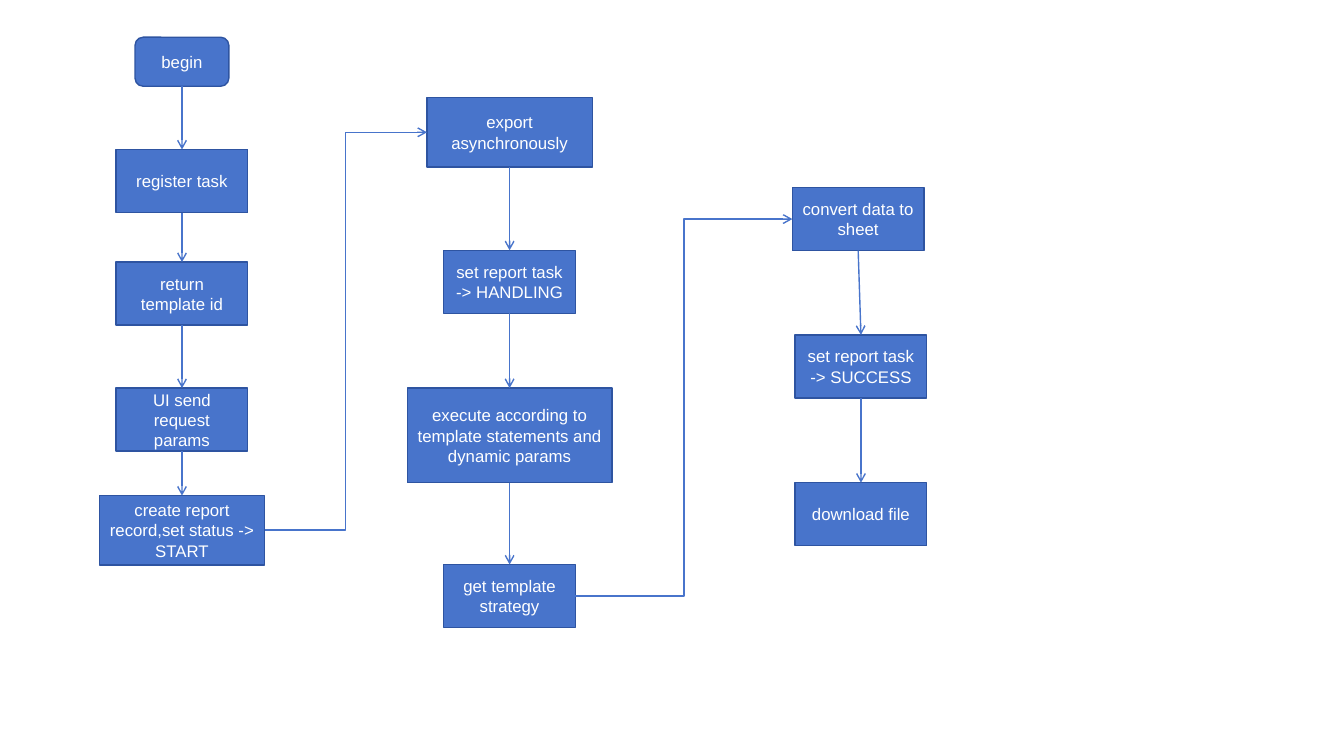
from dataclasses import dataclass
from itertools import pairwise

from lxml import etree
from pptx import Presentation
from pptx.dml import color
from pptx.enum import shapes, text
from pptx.oxml import ns
from pptx.shapes import autoshape, connector as connectors
from pptx.slide import Slide
from pptx.util import Pt


@dataclass(frozen=True)
class Theme:
    fill: color.RGBColor = color.RGBColor.from_string("4874CB")
    outline: color.RGBColor = color.RGBColor.from_string("2E54A1")
    ink: color.RGBColor = color.RGBColor.from_string("FFFFFF")
    font: str = "Arial"
    text_size: float = 12
    line_width: float = 1


@dataclass(frozen=True)
class Step:
    label: str
    column: int
    center: float
    top: float
    width: float = 94
    height: float = 45
    kind: shapes.MSO_SHAPE = shapes.MSO_SHAPE.FLOWCHART_PROCESS


THEME = Theme()
TOP, LEFT, BOTTOM, RIGHT = range(4)
FIRST, SECOND, THIRD = 130, 364, 615

STEPS = [
    Step("begin", 1, FIRST, 26.6, 67, 35, shapes.MSO_SHAPE.FLOWCHART_ALTERNATE_PROCESS),
    Step("register task", 1, FIRST, 106.8),
    Step("return template id", 1, FIRST, 187.2),
    Step("UI send request params", 1, FIRST, 277.2),
    Step("create report record,set status -> START", 1, FIRST, 354, 118, 49.5),
    Step("export asynchronously", 2, SECOND, 69.8, 118, 49.5),
    Step("set report task -> HANDLING", 2, SECOND, 178.8),
    Step("execute according to template statements and dynamic params", 2, SECOND, 277.2, 146, 67.6),
    Step("get template strategy", 2, SECOND, 403.2),
    Step("convert data to sheet", 3, THIRD - 2, 134),
    Step("set report task -> SUCCESS", 3, THIRD, 239.2),
    Step("download file", 3, THIRD, 344.8),
]


def set_values(target: object, values: dict[str, object]) -> None:
    for name, value in values.items():
        setattr(target, name, value)


def draw_step(slide: Slide, step: Step) -> autoshape.Shape:
    left = step.center - step.width / 2
    shape = slide.shapes.add_shape(
        step.kind, Pt(left), Pt(step.top), Pt(step.width), Pt(step.height)
    )
    shape.shadow.inherit = False
    shape.fill.solid()
    shape.fill.fore_color.rgb = THEME.fill
    shape.line.color.rgb = THEME.outline
    shape.line.width = Pt(THEME.line_width)
    frame = shape.text_frame
    set_values(frame, {"word_wrap": True, "vertical_anchor": text.MSO_ANCHOR.MIDDLE})
    paragraph = frame.paragraphs[0]
    paragraph.alignment = text.PP_ALIGN.CENTER
    run = paragraph.add_run()
    run.text = step.label
    set_values(run.font, {"name": THEME.font, "size": Pt(THEME.text_size)})
    run.font.color.rgb = THEME.ink
    return shape


def draw_arrow(
    slide: Slide, source: autoshape.Shape, target: autoshape.Shape, same_column: bool
) -> connectors.Connector:
    if same_column:
        kind, start, end = shapes.MSO_CONNECTOR.STRAIGHT, BOTTOM, TOP
    else:
        kind, start, end = shapes.MSO_CONNECTOR.ELBOW, RIGHT, LEFT
    connector = slide.shapes.add_connector(kind, 0, 0, 0, 0)
    connector.begin_connect(source, start)
    connector.end_connect(target, end)
    connector.line.color.rgb = THEME.fill
    connector.line.width = Pt(THEME.line_width)
    properties = connector.element.spPr
    line = properties.find(ns.qn("a:ln"))
    etree.SubElement(line, ns.qn("a:tailEnd"), type="arrow")
    etree.SubElement(properties, ns.qn("a:effectLst"))
    return connector


def main() -> None:
    presentation = Presentation()
    set_values(presentation, {"slide_width": Pt(960), "slide_height": Pt(540)})
    slide = presentation.slides.add_slide(presentation.slide_layouts[6])
    drawn = [(step, draw_step(slide, step)) for step in STEPS]
    for (step, shape), (next_step, next_shape) in pairwise(drawn):
        draw_arrow(slide, shape, next_shape, step.column == next_step.column)
    presentation.save("out.pptx")


if __name__ == "__main__":
    main()
